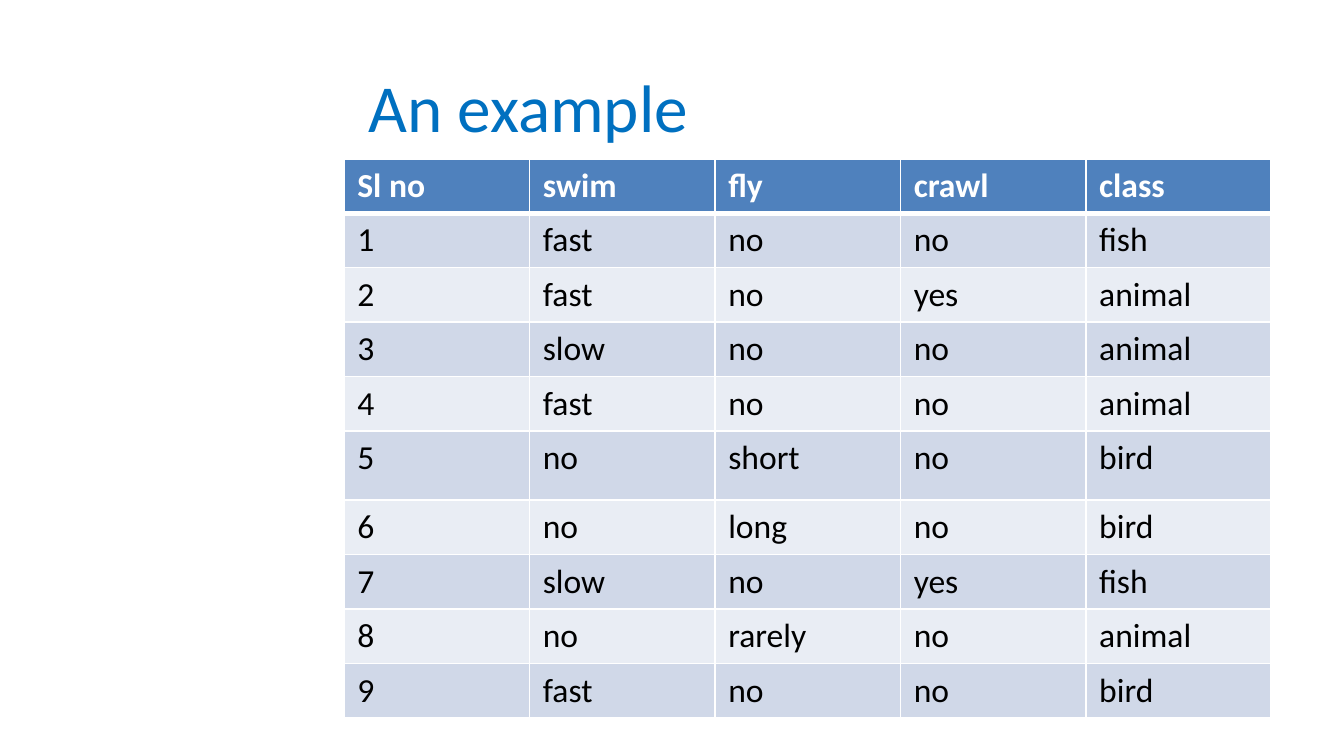
from lxml import etree
from pptx import Presentation
from pptx.dml.color import RGBColor
from pptx.enum.text import MSO_ANCHOR, PP_ALIGN
from pptx.oxml.ns import qn
from pptx.util import Cm, Pt

LEFT = PP_ALIGN.LEFT
MIDDLE = MSO_ANCHOR.MIDDLE
TITLE_ONLY = 5

ROWS = [
    ("Sl no", "swim", "fly", "crawl", "class"),
    ("1", "fast", "no", "no", "fish"),
    ("2", "fast", "no", "yes", "animal"),
    ("3", "slow", "no", "no", "animal"),
    ("4", "fast", "no", "no", "animal"),
    ("5", "no", "short", "no", "bird"),
    ("6", "no", "long", "no", "bird"),
    ("7", "slow", "no", "yes", "fish"),
    ("8", "no", "rarely", "no", "animal"),
    ("9", "fast", "no", "no", "bird"),
]
COLUMN_WIDTH = 3.505
ROW_HEIGHT = 1.03
TALL_ROW, TALL_HEIGHT = 5, 1.3


def color(hex_string):
    return RGBColor.from_string(hex_string)


class SlideBuilder:
    font = "Calibri"
    title_color = "0070C0"
    header_fill = "4F81BD"
    band_fills = ("E9EDF4", "D0D8E8")
    white = "FFFFFF"
    black = "000000"

    def __init__(self, slide):
        self.slide = slide

    def format_text(self, text_frame, size, hex_string, bold=False):
        for paragraph in text_frame.paragraphs:
            paragraph.alignment = LEFT
            for run in paragraph.runs:
                run.font.name = self.font
                run.font.size = Pt(size)
                run.font.bold = bold
                run.font.color.rgb = color(hex_string)

    def title(self, text, left, top, width, height):
        shape = self.slide.shapes.title
        shape.left, shape.top = Cm(left), Cm(top)
        shape.width, shape.height = Cm(width), Cm(height)
        text_frame = shape.text_frame
        text_frame.text = text
        text_frame.vertical_anchor = MIDDLE
        self.format_text(text_frame, 36, self.title_color)

    def borders(self, cell, top, bottom):
        properties = cell._tc.get_or_add_tcPr()
        widths = {"a:lnL": 1, "a:lnR": 1, "a:lnT": top, "a:lnB": bottom}
        # Border lines must come before the cell's fill
        for index, (tag, width) in enumerate(widths.items()):
            line = etree.Element(qn(tag), w=str(Pt(width)))
            fill = etree.SubElement(line, qn("a:solidFill"))
            etree.SubElement(fill, qn("a:srgbClr"), val=self.white)
            properties.insert(index, line)

    def table(self, rows, left, top, heights):
        columns = len(rows[0])
        frame = self.slide.shapes.add_table(
            len(rows), columns, Cm(left), Cm(top),
            Cm(COLUMN_WIDTH * columns), Cm(sum(heights)))
        table = frame.table
        for column in table.columns:
            column.width = Cm(COLUMN_WIDTH)
        for row_index, (values, height) in enumerate(zip(rows, heights)):
            table.rows[row_index].height = Cm(height)
            header = row_index == 0
            fill = self.header_fill if header else self.band_fills[row_index % 2]
            for column_index, value in enumerate(values):
                cell = table.cell(row_index, column_index)
                cell.text_frame.text = value
                self.format_text(cell.text_frame, 18,
                                 self.white if header else self.black, header)
                cell.fill.solid()
                cell.fill.fore_color.rgb = color(fill)
                self.borders(cell, top=3 if row_index == 1 else 1,
                             bottom=3 if header else 1)


def main():
    presentation = Presentation()
    presentation.slide_width, presentation.slide_height = Cm(25.4), Cm(14.29)
    slide = presentation.slides.add_slide(presentation.slide_layouts[TITLE_ONLY])
    builder = SlideBuilder(slide)

    # Title
    builder.title("An example", 6.71, 0.99, 17.45, 2.01)

    # Table of animals and their classes
    heights = [TALL_HEIGHT if index == TALL_ROW else ROW_HEIGHT
               for index in range(len(ROWS))]
    builder.table(ROWS, 6.5, 3, heights)

    presentation.save("out.pptx")


if __name__ == "__main__":
    main()
